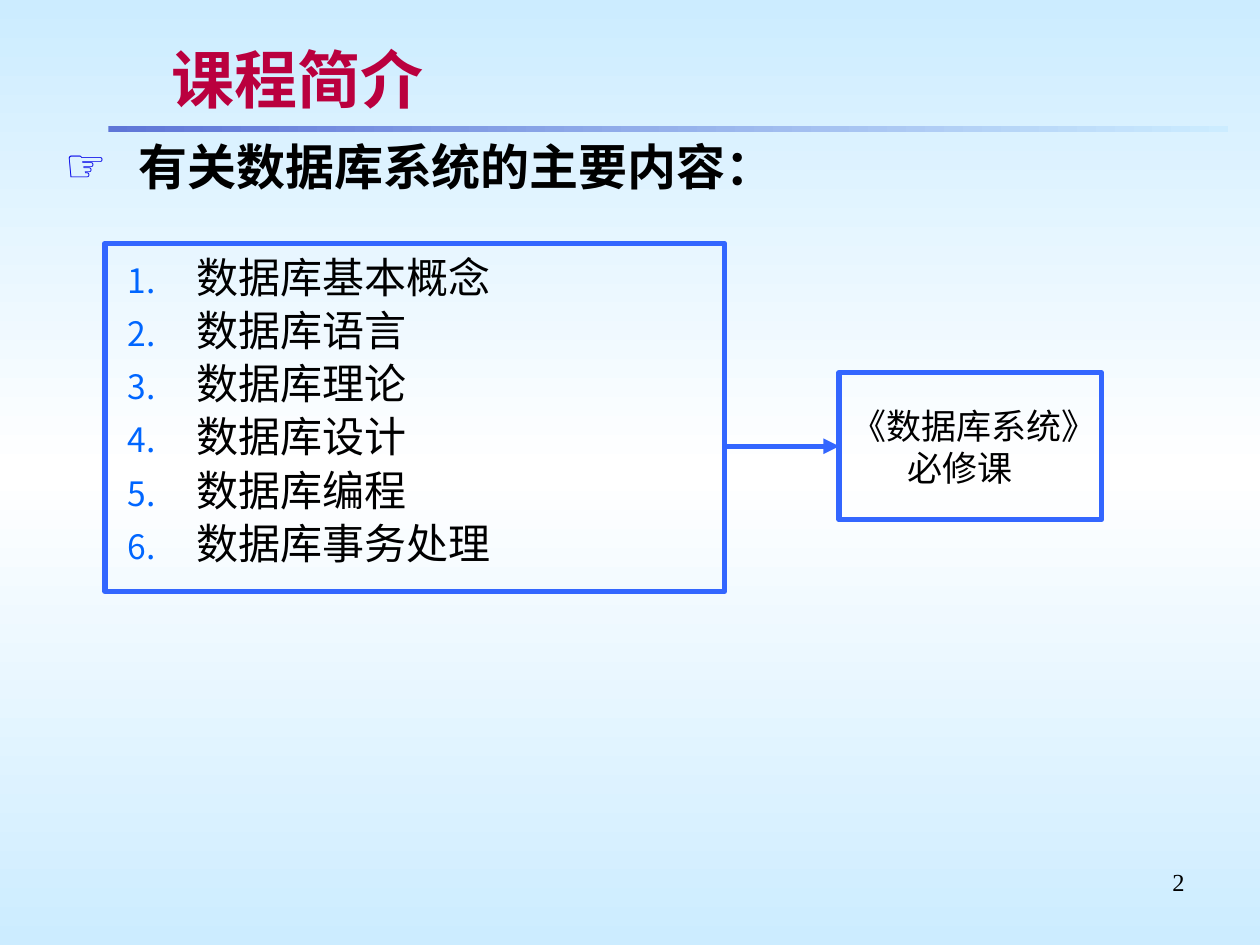
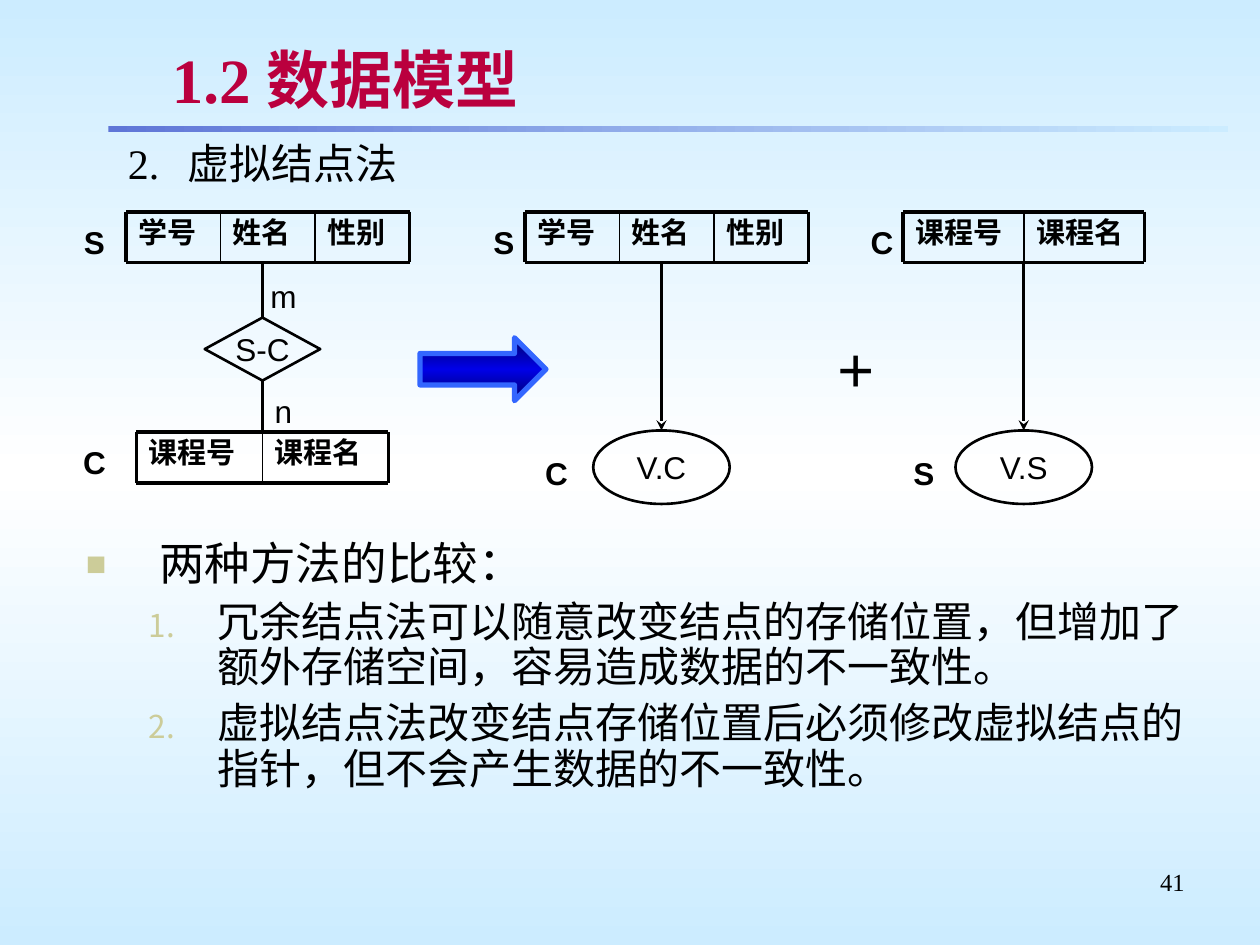
from lxml.etree import SubElement
from pptx import Presentation
from pptx.dml.color import RGBColor
from pptx.enum.shapes import MSO_CONNECTOR, MSO_SHAPE
from pptx.enum.text import MSO_ANCHOR, PP_ALIGN
from pptx.oxml.ns import qn
from pptx.util import Pt

# Shared style
BLACK = RGBColor(0x00, 0x00, 0x00)
WHITE = RGBColor(0xFF, 0xFF, 0xFF)
CRIMSON = RGBColor(0xBA, 0x00, 0x3E)
SHADOW_GREY = RGBColor(0xC0, 0xC0, 0xC0)
SKY = RGBColor(0xCC, 0xEC, 0xFF)
RULE_BLUE = RGBColor(0x5F, 0x76, 0xD7)
FRAME_BLUE = RGBColor(0x33, 0x66, 0xFF)
NUMBER_BLUE = RGBColor(0x00, 0x66, 0xFF)
HAND_BLUE = RGBColor(0x00, 0x00, 0xE8)
NAVY = RGBColor(0x00, 0x00, 0x6B)
SAND = RGBColor(0xCC, 0xCC, 0x99)
SERIF, SANS = "Times New Roman", "Arial"

# Content of the course slide
COURSE_TITLE, COURSE_PAGE = "课程简介", "2"
TOPICS_HEADING = "有关数据库系统的主要内容："
TOPICS = ["数据库基本概念", "数据库语言", "数据库理论",
          "数据库设计", "数据库编程", "数据库事务处理"]
COURSE_LINES = ["《数据库系统》", "必修课"]

# Content of the data model slide
MODEL_TITLE, MODEL_PAGE = "1.2 数据模型", "41"
METHOD = "2.\t虚拟结点法"
STUDENT = ["学号", "姓名", "性别"]
COURSE = ["课程号", "课程名"]
RECORDS = [  # fields, left, top, field width
    (STUDENT, 72, 121, 54),
    (COURSE, 78, 247, 72),
    (STUDENT, 300, 121, 54),
    (COURSE, 516, 121, 69),
]
RECORD_HEIGHT = 29
VIRTUAL_NODES = [("V.C", 378), ("V.S", 585)]  # text, centre
RECORD_LABELS = [  # text, left, top
    ("S", 36, 126), ("C", 36, 252), ("S", 270, 126),
    ("C", 300, 258), ("C", 486, 126), ("S", 510, 258),
]
CARDINALITIES = [("m", 144, 157), ("n", 144, 223)]
COMPARISON_HEADING = "两种方法的比较："
COMPARISON = [
    "冗余结点法可以随意改变结点的存储位置，但增加了额外存储空间，容易造成数据的不一致性。",
    "虚拟结点法改变结点存储位置后必须修改虚拟结点的指针，但不会产生数据的不一致性。",
]


def set_stops(element, colors):
    """Spread the colours evenly over the first gradient in the element."""
    stops = element.find(".//" + qn("a:gsLst"))
    for stop in list(stops):
        stops.remove(stop)
    for i, color in enumerate(colors):
        position = str(100000 * i // (len(colors) - 1))
        stop = SubElement(stops, qn("a:gs"), pos=position)
        SubElement(stop, qn("a:srgbClr"), val=str(color))


def fill_gradient(shape, colors, angle):
    shape.fill.gradient()
    shape.fill.gradient_angle = angle
    set_stops(shape.element.spPr, colors)


def style(paragraph, size, font=SERIF, color=BLACK, bold=False, align=PP_ALIGN.LEFT):
    paragraph.alignment = align
    paragraph.font.size = Pt(size)
    paragraph.font.name = font
    paragraph.font.bold = bold
    paragraph.font.color.rgb = color


def indent(paragraph, left, first=0):
    props = paragraph._p.get_or_add_pPr()
    props.set("marL", str(Pt(left)))
    props.set("indent", str(Pt(first)))
    return props


def add_bullet(paragraph, color, percent, left, hanging, char=None):
    """Give the paragraph a character bullet, or a number without one."""
    props = indent(paragraph, left, -hanging)
    SubElement(SubElement(props, qn("a:buClr")), qn("a:srgbClr"), val=str(color))
    SubElement(props, qn("a:buSzPct"), val=str(percent * 1000))
    SubElement(props, qn("a:buFont"), typeface=SANS)
    if char:
        SubElement(props, qn("a:buChar"), char=char)
    else:
        SubElement(props, qn("a:buAutoNum"), type="arabicPeriod")


def add_text(slide, box, text, size, wrap=True, anchor=MSO_ANCHOR.TOP, **look):
    frame = slide.shapes.add_textbox(*map(Pt, box)).text_frame
    frame.word_wrap = wrap
    frame.vertical_anchor = anchor
    paragraph = frame.paragraphs[0]
    paragraph.text = text
    style(paragraph, size, **look)
    return frame


def add_label(slide, box, text, size=18, bold=False):
    add_text(slide, box, text, size, wrap=False, anchor=MSO_ANCHOR.MIDDLE,
             font=SANS, bold=bold, align=PP_ALIGN.CENTER)


def add_outlined(slide, kind, box, color, width, lines=(), size=18, align=PP_ALIGN.CENTER):
    shape = slide.shapes.add_shape(kind, *map(Pt, box))
    shape.shadow.inherit = False
    shape.fill.background()
    shape.line.color.rgb = color
    shape.line.width = Pt(width)
    frame = shape.text_frame
    frame.word_wrap = False
    frame.vertical_anchor = MSO_ANCHOR.MIDDLE
    for i, line in enumerate(lines):
        paragraph = frame.add_paragraph() if i else frame.paragraphs[0]
        paragraph.text = line
        style(paragraph, size, SANS, align=align)
    return shape


def add_line(slide, x1, y1, x2, y2, width, color=BLACK, head=None, begin=None, end=None):
    """Draw a line; begin and end are (shape, side) pairs to join."""
    line = slide.shapes.add_connector(MSO_CONNECTOR.STRAIGHT, *map(Pt, (x1, y1, x2, y2)))
    line.line.color.rgb = color
    line.line.width = Pt(width)
    if head:
        SubElement(line.element.find(".//" + qn("a:ln")), qn("a:tailEnd"), type=head)
    SubElement(line.element.spPr, qn("a:effectLst"))
    if begin:
        line.begin_connect(*begin)
    if end:
        line.end_connect(*end)


def add_list(frame, heading, items, char, color, percents, sizes, gap, first_gap, bold):
    """Fill the frame with a bulleted heading and numbered items."""
    lead = frame.paragraphs[0]
    lead.text = heading
    add_bullet(lead, color[0], percents[0], 42, 42, char)
    lead.line_spacing = 0.9
    style(lead, sizes[0], bold=bold)
    for i, item in enumerate(items):
        paragraph = frame.add_paragraph()
        paragraph.text = item
        paragraph.level = 1
        add_bullet(paragraph, color[1], percents[1], 75, 39)
        paragraph.line_spacing = 0.9
        paragraph.space_before = Pt(gap if i else first_gap)
        style(paragraph, sizes[1])


def add_base(prs, title, page):
    """Start a slide with its rule, page number and title."""
    slide = prs.slides.add_slide(prs.slide_layouts[5])
    rule = slide.shapes.add_shape(MSO_SHAPE.RECTANGLE, Pt(62), Pt(72), Pt(640), Pt(3.6))
    rule.shadow.inherit = False
    rule.line.fill.background()
    fill_gradient(rule, [RULE_BLUE, SKY], 0)
    add_text(slide, (516, 492, 168, 37), page, 14, align=PP_ALIGN.RIGHT)

    heading = slide.shapes.title
    heading.left, heading.top, heading.width, heading.height = map(Pt, (91, 21, 593, 48))
    frame = heading.text_frame
    frame.text = title
    frame.vertical_anchor = MSO_ANCHOR.MIDDLE
    frame.margin_top = frame.margin_bottom = Pt(3)
    style(frame.paragraphs[0], 36, color=CRIMSON, bold=True)
    run = frame.paragraphs[0].runs[0]
    effects = SubElement(run._r.get_or_add_rPr(), qn("a:effectLst"))
    shadow = SubElement(effects, qn("a:outerShdw"), dist=str(Pt(2)), dir="2700000")
    SubElement(shadow, qn("a:srgbClr"), val=str(SHADOW_GREY))
    return slide


def add_record(slide, fields, left, top, width):
    """Draw a row of named fields with a heavy frame and thin dividers."""
    right, bottom = left + width * len(fields), top + RECORD_HEIGHT
    for i, field in enumerate(fields):
        frame = add_text(slide, (left + i * width, top, width, RECORD_HEIGHT),
                         field, 16.6, bold=True)
        frame.paragraphs[0].line_spacing = 0.9
    for y in (top, bottom):
        add_line(slide, left, y, right, y, 2.25)
    for i in range(len(fields) + 1):
        x = left + i * width
        add_line(slide, x, top, x, bottom, 2.25 if x in (left, right) else 1)


def build_course_slide(prs):
    slide = add_base(prs, COURSE_TITLE, COURSE_PAGE)
    frame = add_text(slide, (30, 78, 666, 300), "", 28)
    add_list(frame, TOPICS_HEADING, TOPICS, "☞", (HAND_BLUE, NUMBER_BLUE),
             (95, 80), (28, 24), gap=4.5, first_gap=35, bold=True)

    # Topics lead to the course
    add_outlined(slide, MSO_SHAPE.RECTANGLE, (60, 139, 354, 199), FRAME_BLUE, 3)
    course = add_outlined(slide, MSO_SHAPE.RECTANGLE, (479.5, 213, 150, 84), FRAME_BLUE, 3,
                          COURSE_LINES, 20, PP_ALIGN.LEFT)
    indent(course.text_frame.paragraphs[1], 32)
    add_line(slide, 414, 255, 479.5, 255, 3, FRAME_BLUE, "triangle", end=(course, 1))


def build_model_slide(prs):
    slide = add_base(prs, MODEL_TITLE, MODEL_PAGE)
    method = add_text(slide, (30, 78, 666, 37), METHOD, 24).paragraphs[0]
    indent(method, 70, -34)
    method.line_spacing = 0.9

    # Conversion arrow and plus sign
    arrow = add_outlined(slide, MSO_SHAPE.RIGHT_ARROW, (240, 193, 72, 36), FRAME_BLUE, 3)
    fill_gradient(arrow, [NAVY, HAND_BLUE, NAVY], 90)
    add_label(slide, (468, 192, 42, 36), "+", 36)

    # Comparison of the two methods
    frame = add_text(slide, (42, 306, 660, 162), "", 26)
    add_list(frame, COMPARISON_HEADING, COMPARISON, "■", (SAND, SAND),
             (75, 75), (26, 24), gap=6, first_gap=6, bold=False)

    # Records and their labels
    for record in RECORDS:
        add_record(slide, *record)
    for text, left, top in RECORD_LABELS:
        add_label(slide, (left, top, 36, 24), text, bold=True)

    # Relationship between the first two records
    relation = add_outlined(slide, MSO_SHAPE.DIAMOND, (117, 181.5, 66, 36), BLACK, 1.5, ["S-C"])
    add_line(slide, 150, 151, 150, 181.5, 1.5, end=(relation, 0))
    add_line(slide, 150, 217.5, 150, 247, 1.5, begin=(relation, 2))
    for text, left, top in CARDINALITIES:
        add_label(slide, (left, top, 36, 24), text)

    # Virtual nodes with their pointers
    for text, centre in VIRTUAL_NODES:
        node = add_outlined(slide, MSO_SHAPE.OVAL, (centre - 39, 246, 78, 42), BLACK, 1.5, [text])
        add_line(slide, centre, 151, centre, 246, 1.5, head="stealth", end=(node, 0))


def main():
    prs = Presentation()
    prs.slide_width, prs.slide_height = Pt(720), Pt(540)
    master = prs.slide_master
    master.background.fill.gradient()
    master.background.fill.gradient_angle = 90
    set_stops(master.element, [SKY, WHITE, SKY])
    build_course_slide(prs)
    build_model_slide(prs)
    prs.save("out.pptx")


if __name__ == "__main__":
    main()
